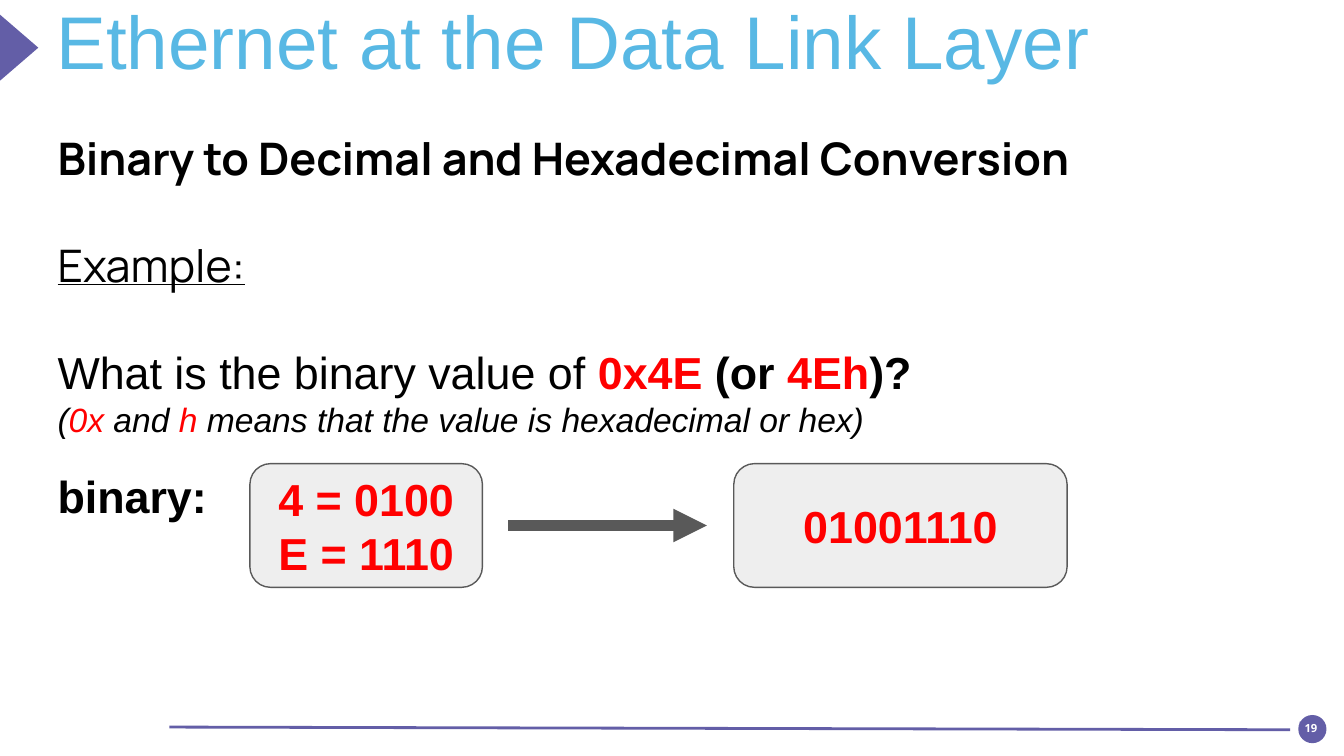
from lxml import etree
from pptx import Presentation
from pptx.dml.color import RGBColor
from pptx.enum import shapes, text
from pptx.oxml import ns
from pptx.util import Inches, Pt

COLORS = {
    "purple": "635EA7",
    "sky": "58B8E4",
    "black": "000000",
    "red": "FF0000",
    "white": "FFFFFF",
    "gray": "595959",
    "light": "EEEEEE",
}

deck = Presentation()
deck.slide_width = Inches(10)
deck.slide_height = Inches(10 * 9 / 16)
slide = deck.slides.add_slide(deck.slide_layouts[6])


def put_text(frame, paragraphs, margin=0, align=text.PP_ALIGN.LEFT):
    frame.word_wrap = True
    frame.margin_left = frame.margin_right = Inches(margin)
    frame.margin_top = frame.margin_bottom = Inches(margin)
    for index, (before, size, font, runs) in enumerate(paragraphs):
        line = frame.paragraphs[0] if index == 0 else frame.add_paragraph()
        line.alignment = align
        line.space_before = Pt(before)
        for words, color, style in runs:
            run = line.add_run()
            run.text = words
            run.font.size, run.font.name = Pt(size), font
            run.font.color.rgb = RGBColor.from_string(COLORS[color])
            run.font.bold = "b" in style
            run.font.italic = "i" in style
            run.font.underline = "u" in style


def add_line(start, end, color, width):
    line = slide.shapes.add_connector(
        shapes.MSO_CONNECTOR.STRAIGHT, *map(Inches, start + end))
    line.line.color.rgb = RGBColor.from_string(COLORS[color])
    line.line.width = Pt(width)
    etree.SubElement(line._element.spPr, ns.qn("a:effectLst"))
    return line


for preset, place, angle in [
    (shapes.MSO_SHAPE.OVAL, (9.66, 5.32, 0.21, 0.21), 0),
    (shapes.MSO_SHAPE.ISOSCELES_TRIANGLE, (-0.11, 0.21, 0.5, 0.29), 90),
]:
    accent = slide.shapes.add_shape(preset, *map(Inches, place))
    accent.rotation = angle
    accent.shadow.inherit = False
    accent.fill.solid()
    accent.fill.fore_color.rgb = RGBColor.from_string(COLORS["purple"])
    accent.line.fill.background()

page_number = slide.shapes.add_textbox(
    Inches(9.67), Inches(5.37), Inches(0.17), Inches(0.1))
page_number.fill.solid()
page_number.fill.fore_color.rgb = RGBColor.from_string(COLORS["purple"])
put_text(page_number.text_frame,
         [(0, 6, "Open Sans", [("19", "white", "b")])],
         align=text.PP_ALIGN.CENTER)

add_line((9.6, 5.43), (1.26, 5.41), "purple", 1.5)

body = slide.shapes.add_textbox(
    Inches(0.33), Inches(0.87), Inches(9.17), Inches(3.9))
put_text(body.text_frame, [
    (0, 24, "Manrope",
     [("Binary to Decimal and Hexadecimal Conversion", "black", "b")]),
    (28.5, 24, "Manrope", [("Example:", "black", "u")]),
    (29, 24, "Arial", [
        ("What is the binary value of", "black", ""),
        (" 0x4E ", "red", "b"),
        ("(or ", "black", "b"),
        ("4Eh", "red", "b"),
        (")?", "black", "b"),
    ]),
    (0, 18, "Arial", [
        ("(", "black", "i"),
        ("0x", "red", "i"),
        (" and ", "black", "i"),
        ("h", "red", "i"),
        (" means that the value is hexadecimal or hex)", "black", "i"),
    ]),
    (16, 24, "Arial", [("binary:", "black", "b")]),
], margin=0.1)

arrow = add_line((3.78, 3.91), (5.26, 3.91), "gray", 6)
etree.SubElement(arrow.line._get_or_add_ln(), ns.qn("a:tailEnd"), type="triangle")

for left, width, values in [
    (1.86, 1.73, ["4 = 0100", "E = 1110"]),
    (5.46, 2.48, ["01001110"]),
]:
    card = slide.shapes.add_shape(
        shapes.MSO_SHAPE.ROUNDED_RECTANGLE,
        Inches(left), Inches(3.45), Inches(width), Inches(0.92))
    card.shadow.inherit = False
    card.fill.solid()
    card.fill.fore_color.rgb = RGBColor.from_string(COLORS["light"])
    card.line.color.rgb = RGBColor.from_string(COLORS["gray"])
    card.line.width = Pt(0.75)
    card.text_frame.vertical_anchor = text.MSO_ANCHOR.MIDDLE
    put_text(card.text_frame,
             [(0, 24, "Arial", [(value, "red", "b")]) for value in values],
             margin=0.1, align=text.PP_ALIGN.CENTER)

title = slide.shapes.add_textbox(
    Inches(0.42), Inches(0.09), Inches(8.63), Inches(0.69))
put_text(title.text_frame,
         [(0, 40, "Arial", [("Ethernet at the Data Link Layer", "sky", "")])])
title.text_frame.paragraphs[0].line_spacing = 0.8

deck.save("out.pptx")
